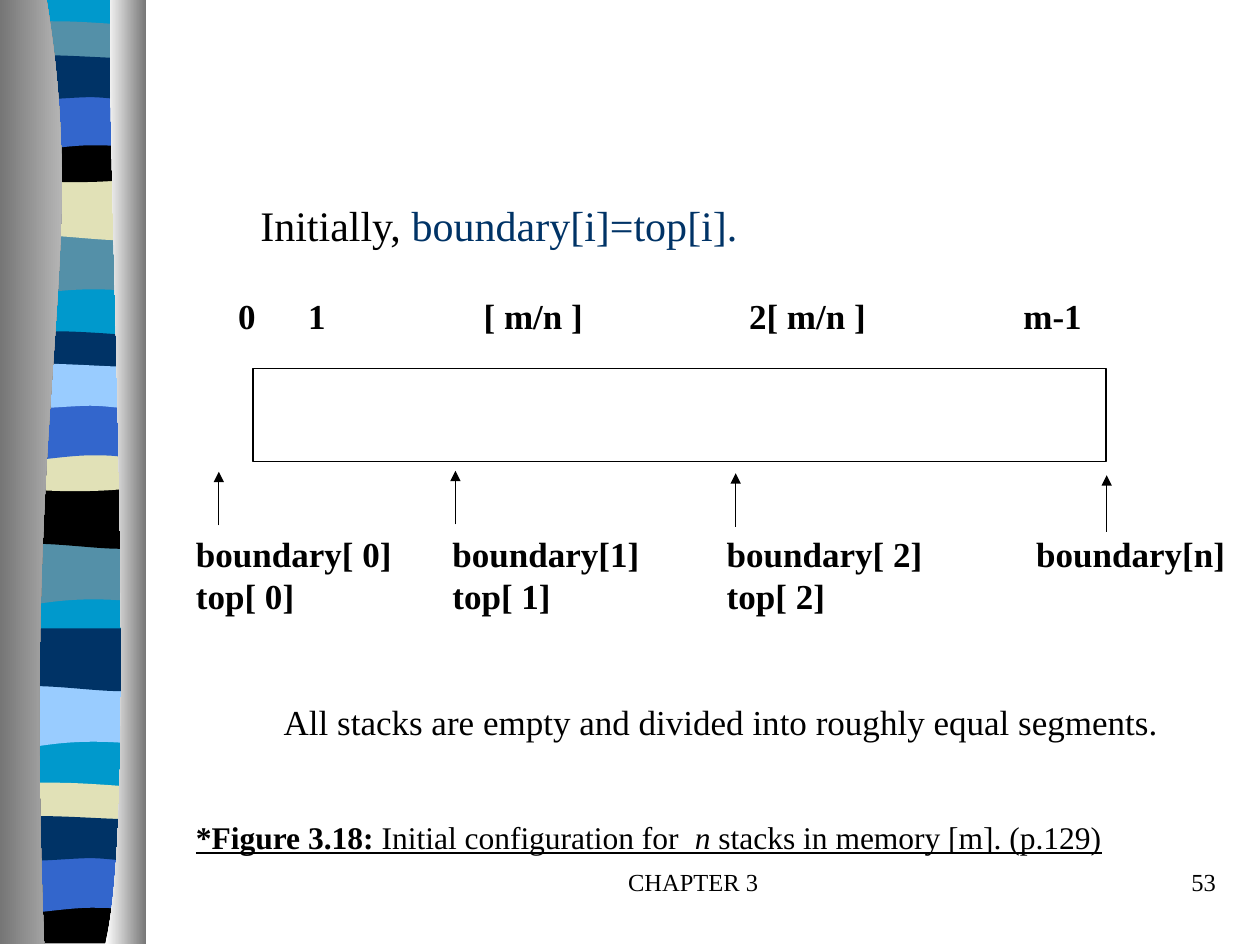
import pptx
import pptx.util
import pptx.dml.color
import pptx.enum.shapes
import pptx.enum.text
import pptx.oxml.ns
import lxml.etree

Cm = pptx.util.Cm
Pt = pptx.util.Pt
ALIGN = pptx.enum.text.PP_ALIGN
qn = pptx.oxml.ns.qn

COLOURS = {
    "black": "000000", "navy": "003366", "blue": "3366CC", "cyan": "0099CC",
    "sky": "99CCFF", "teal": "5490A8", "sand": "E1E1B7",
    "grey": "767676", "silver": "D3D3D3", "white": "FFFFFF",
}

# Stripe outlines from the top right corner: pairs are lines, sixes are curves
WIDTH = 2.74
BOWL_TOP = (1.68, 0.13, 2.16, 0, WIDTH, 0)
OUTLINES = {
    "swoop": [(WIDTH, 1.19), (0.84, 0.99, 0.46, 1.4, 0, 1.19), (0, 0)],
    "wave": [(WIDTH, 1.2), (2.29, 1.4, 0.84, 1.05, 0, 1.2), (0, 0)],
    "cap": [(WIDTH, 0.61), (2.29, 0.71, 0.46, 0.71, 0, 0.61), (0, 0),
            (0.15, -0.13, 0.58, -0.1, 1.04, -0.1), (1.5, -0.1, 2.39, -0.03, WIDTH, 0)],
    "bowl": [(WIDTH, 0.82), (2.29, 0.97, 0.46, 0.97, 0, 0.82), (0, 0), BOWL_TOP],
    "base": [(WIDTH, 0.94), (0, 0.94), (0, 0), BOWL_TOP],
    "arch": [(WIDTH, 1.19), (2.31, 1.05, 2.13, 1.05, 1.68, 1.05),
             (1.22, 1.05, 0.41, 1.19, 0, 1.19), (0, 0)],
    "drift": [(WIDTH, 0.79), (2.57, 0.91, 2.13, 0.79, 1.68, 0.79),
              (1.22, 0.79, 0.28, 0.91, 0, 0.79), (0, 0),
              (0.38, -0.13, 1.85, 0, 2.31, 0)],
    "backdrop": [(WIDTH, 18.97), (0, 18.97), (0, 0)],
}

# Outline, top and colour, from back to front
STRIPES = [
    ("backdrop", 0, "cyan"),
    ("swoop", 4.7, "teal"), ("wave", 3.58, "sand"), ("cap", 0.53, "teal"),
    ("bowl", 2.74, "black"), ("arch", 1.88, "blue"), ("drift", 1.17, "navy"),
    ("swoop", 10.95, "teal"), ("wave", 9.8, "black"), ("cap", 6.78, "navy"),
    ("bowl", 8.97, "sand"), ("arch", 8.13, "blue"), ("drift", 7.39, "sky"),
    ("swoop", 13.82, "sky"), ("wave", 12.67, "navy"), ("cap", 15.88, "sand"),
    ("base", 18.08, "black"), ("arch", 17.25, "blue"), ("drift", 16.51, "navy"),
]


class SlideBuilder:
    font_name = "Times New Roman"
    line_width = Pt(0.75)

    def __init__(self, slide):
        self.slide = slide

    def colour(self, name):
        return pptx.dml.color.RGBColor.from_string(COLOURS[name])

    def outline(self, start, segments, fill, left=0, top=0):
        points = [start]
        for segment in segments:
            points.extend(zip(segment[::2], segment[1::2]))
        corners = [(Cm(left + x), Cm(top + y)) for x, y in points]
        builder = self.slide.shapes.build_freeform(*corners[0])
        builder.add_line_segments(corners[1:], close=True)
        shape = builder.convert_to_shape()
        self.bend(shape, segments)
        shape.shadow.inherit = False
        shape.line.fill.background()
        if isinstance(fill, str):
            shape.fill.solid()
            shape.fill.fore_color.rgb = self.colour(fill)
        else:
            shape.fill.gradient()
            shape.fill.gradient_angle = 0
            for stop, name in zip(shape.fill.gradient_stops, fill):
                stop.color.rgb = self.colour(name)

    def bend(self, shape, segments):
        """Join the three lines of each six-number segment into one curve."""
        lines = iter(list(shape._element.iter(qn("a:lnTo"))))
        for segment in segments:
            first = next(lines)
            if len(segment) == 6:
                first.tag = qn("a:cubicBezTo")
                for line in (next(lines), next(lines)):
                    first.append(line[0])
                    line.getparent().remove(line)

    def frame(self, left, top, width, height):
        shape = self.slide.shapes.add_shape(
            pptx.enum.shapes.MSO_SHAPE.RECTANGLE,
            Cm(left), Cm(top), Cm(width), Cm(height))
        shape.shadow.inherit = False
        shape.fill.background()
        shape.line.color.rgb = self.colour("black")
        shape.line.width = self.line_width

    def arrow_up(self, x, bottom, top):
        arrow = self.slide.shapes.add_connector(
            pptx.enum.shapes.MSO_CONNECTOR.STRAIGHT, Cm(x), Cm(bottom), Cm(x), Cm(top))
        arrow.line.color.rgb = self.colour("black")
        arrow.line.width = self.line_width
        lxml.etree.SubElement(arrow.line._get_or_add_ln(), qn("a:tailEnd"), type="triangle")
        lxml.etree.SubElement(arrow._element.spPr, qn("a:effectLst"))

    def text(self, left, top, width, height, paragraphs):
        """Each paragraph is (runs, format); each run is (text, font format)."""
        box = self.slide.shapes.add_textbox(Cm(left), Cm(top), Cm(width), Cm(height))
        box.text_frame.word_wrap = True
        for index, (runs, layout) in enumerate(paragraphs):
            para = box.text_frame.paragraphs[0] if index == 0 else box.text_frame.add_paragraph()
            self.layout(para, **layout)
            for content, font_format in runs:
                span = para.add_run()
                span.text = content
                span.font.name = self.font_name
                values = {"color": "black", **font_format}
                span.font.color.rgb = self.colour(values.pop("color"))
                for name, value in values.items():
                    setattr(span.font, name, value)

    def layout(self, para, tabs=(), indent=0, **values):
        properties = para._p.get_or_add_pPr()
        if indent:
            properties.set("marL", str(Cm(indent)))
        if tabs:
            tab_list = lxml.etree.SubElement(properties, qn("a:tabLst"))
            for position in tabs:
                lxml.etree.SubElement(tab_list, qn("a:tab"), pos=str(Cm(position)), algn="l")
        for name, value in values.items():
            setattr(para, name, value)


def main():
    deck = pptx.Presentation()
    deck.slide_width, deck.slide_height = Cm(25.4), Cm(19.05)
    page = SlideBuilder(deck.slides.add_slide(deck.slide_layouts[6]))

    # Striped side band between two grey panels
    for outline, top, colour in STRIPES:
        page.outline((WIDTH, 0), OUTLINES[outline], colour, left=0.14, top=top)
    page.outline((0.94, 0), [(1.83, 5.49, 0.43, 7.52, 0.89, 19.03), (0, 19.03), (0, 0)],
                 ("grey", "silver"))
    page.outline((2.23, 0), [(2.13, 3.18, 2.83, 16.41, 2.12, 19.03), (2.95, 19.03), (2.95, 0)],
                 ("white", "grey"))

    # Footer and page number
    small = {"size": Pt(14)}
    page.text(9.95, 17.35, 8.05, 1.27, [([("CHAPTER 3", small)], {"alignment": ALIGN.CENTER})])
    page.text(19.48, 17.35, 5.28, 1.27, [([("53", small)], {"alignment": ALIGN.RIGHT})])

    # Memory block with its boundary arrows
    page.frame(5.1, 7.43, 17.2, 1.88)
    for x, bottom, top in ((4.41, 10.59, 9.51), (9.18, 10.57, 9.49),
                           (14.83, 10.62, 9.54), (22.31, 10.72, 9.58)):
        page.arrow_up(x, bottom, top)

    # Boundary labels, remark and caption
    label = {"size": Pt(20), "bold": True}
    caption = {"size": Pt(18), "underline": True}
    columns = {"tabs": (5.17, 10.7, 16.94)}
    page.text(3.7, 10.61, 21.5, 6.78, [
        ([("boundary[ 0]\tboundary[1]\tboundary[ 2]\tboundary[n]", label)], columns),
        ([("top[ 0]\ttop[ 1]\ttop[ 2]", label)], columns),
        ([("All stacks are empty and divided into roughly equal segments.", {"size": Pt(20)})],
         {"indent": 1.77, "space_before": Pt(48)}),
        ([("*Figure 3.18: ", {**caption, "bold": True}),
          ("Initial configuration for ", caption),
          (" n ", {**caption, "italic": True}),
          ("stacks in memory [m]. (p.129)", caption)],
         {"space_before": Pt(43)}),
    ])

    # Index labels above the block
    page.text(4.55, 5.82, 18.6, 1.12, [
        ([("0\t1\t[ m/n ]\t2[ m/n ]\tm-1", label)], {"tabs": (1.41, 4.95, 10.3, 15.83)})])

    # Opening statement
    page.text(5, 3.89, 10.2, 1.27, [
        ([("Initially, ", {"size": Pt(24)}),
          ("boundary[i]=top[i].", {"size": Pt(24), "color": "navy"})], {})])

    deck.save("out.pptx")


if __name__ == "__main__":
    main()
